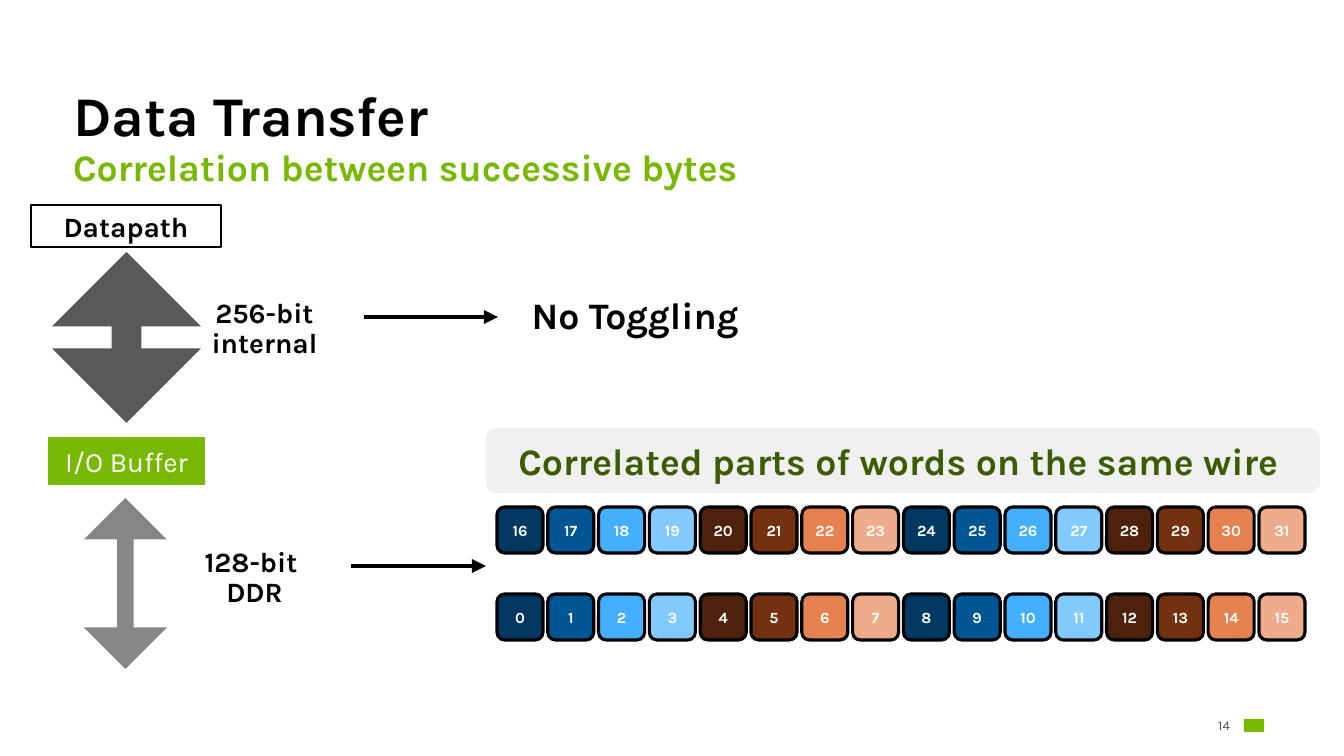
from lxml import etree
from pptx import Presentation
from pptx import util as u
from pptx.dml.color import RGBColor
from pptx.enum import shapes, text
from pptx.oxml import ns

THEME = {
    "font": "Karla",
    "black": "000000", "white": "FFFFFF", "green": "76B900",
    "dark_green": "3B5C00", "panel": "F0F0F0", "page": "505050",
    "dark_arrow": "595959", "light_arrow": "868686",
    "bytes": ["003862", "005594", "43AFFF", "82CAFF",
              "4D210B", "733110", "E68250", "EEAC8A"],
    "title": 36, "head": 24, "body": 18, "byte": 10, "small": 8.5,
}
SIZE = (1344, 756)
TITLE = ("Data Transfer", (62, 81, 1222, 73))
LABELS = [
    (["Correlation between successive bytes"], (62, 144, 1222, 64), "head", "green", "left", "top"),
    (["256-bit internal"], (178, 293, 173, 73), "body", "black", "center", "middle"),
    (["128-bit ", "DDR"], (168, 542, 173, 73), "body", "black", "center", "middle"),
    (["No Toggling"], (497, 291, 276, 52), "head", "black", "center", "middle"),
]
PAGE = ("14", (1190, 715, 40, 20))
BOXES = [
    ("Datapath", "RECTANGLE", (31, 205, 190, 42), None, "black", "body", "black", True),
    ("I/O Buffer", "RECTANGLE", (48, 437, 157, 48), "green", None, "body", "white", False),
    ("Correlated parts of words on the same wire ", "ROUNDED_RECTANGLE",
     (486, 428, 834, 65), "panel", None, "head", "dark_green", True),
]
BUSES = [((52, 252, 149, 171), "dark_arrow"), ((84, 498, 83, 171), "light_arrow")]
BUS_ADJUST = (0.59, 0.2)
POINTERS = [(364, 317, 498), (351, 566, 486)]
BYTE_ROWS = [(0, 594), (16, 507)]
BYTES_PER_ROW = 16
BYTE_LEFT, BYTE_LAST, BYTE_SIDE = 497, 1259, 46
MARK = (1244, 719, 20, 13)

ALIGN = {"left": text.PP_ALIGN.LEFT, "center": text.PP_ALIGN.CENTER, "right": text.PP_ALIGN.RIGHT}
ANCHOR = {"top": text.MSO_ANCHOR.TOP, "middle": text.MSO_ANCHOR.MIDDLE, "bottom": text.MSO_ANCHOR.BOTTOM}


def px(n):
    return u.Emu(round(n * 914400 / 112))


def rgb(name):
    return RGBColor.from_string(THEME.get(name, name))


def write(sp, lines, size, color, align="center", anchor="middle", bold=True, spacing=None):
    tf = sp.text_frame
    tf.word_wrap = True
    tf.auto_size = text.MSO_AUTO_SIZE.NONE
    tf.vertical_anchor = ANCHOR[anchor]
    for i, line in enumerate(lines):
        p = tf.add_paragraph() if i else tf.paragraphs[0]
        p.alignment = ALIGN[align]
        if spacing:
            p.line_spacing = spacing
        r = p.add_run()
        r.text = line
        r.font.name = THEME["font"]
        r.font.size = u.Pt(THEME[size])
        r.font.bold = bold
        r.font.color.rgb = rgb(color)
    return tf


def add_shape(s, kind, box, fill=None, line=None, width=1.5):
    sp = s.shapes.add_shape(getattr(shapes.MSO_SHAPE, kind), *map(px, box))
    sp.shadow.inherit = False
    if fill:
        sp.fill.solid()
        sp.fill.fore_color.rgb = rgb(fill)
    else:
        sp.fill.background()
    if line:
        sp.line.color.rgb = rgb(line)
        sp.line.width = u.Pt(width)
    else:
        sp.line.fill.background()
    return sp


def add_pointer(s, left, y, right):
    c = s.shapes.add_connector(shapes.MSO_CONNECTOR.STRAIGHT, px(left), px(y), px(right), px(y))
    c.line.color.rgb = rgb("black")
    c.line.width = u.Pt(3)
    etree.SubElement(c.line._get_or_add_ln(), ns.qn("a:tailEnd"), type="triangle")
    etree.SubElement(c._element.spPr, ns.qn("a:effectLst"))


def add_bytes(s, first, top):
    pitch = (BYTE_LAST - BYTE_LEFT) / (BYTES_PER_ROW - 1)
    colors = THEME["bytes"]
    for i in range(BYTES_PER_ROW):
        box = (BYTE_LEFT + i * pitch, top, BYTE_SIDE, BYTE_SIDE)
        sp = add_shape(s, "ROUNDED_RECTANGLE", box, colors[i % len(colors)], "black", 2)
        write(sp, [str(first + i)], "byte", "white")


def main():
    prs = Presentation()
    prs.slide_width, prs.slide_height = map(px, SIZE)
    s = prs.slides.add_slide(prs.slide_layouts[5])

    title, box = TITLE
    sp = s.shapes.title
    sp.left, sp.top, sp.width, sp.height = map(px, box)
    write(sp, [title], "title", "black", "left", "bottom", spacing=0.9)

    for lines, box, size, color, align, anchor in LABELS:
        sp = s.shapes.add_textbox(*map(px, box))
        write(sp, lines, size, color, align, anchor, spacing=0.9)

    number, box = PAGE
    sp = s.shapes.add_textbox(*map(px, box))
    tf = write(sp, [number], "small", "page", "right", bold=False)
    tf.margin_left = tf.margin_right = tf.margin_top = tf.margin_bottom = 0

    for first, top in BYTE_ROWS:
        add_bytes(s, first, top)

    for box, fill in BUSES:
        sp = add_shape(s, "UP_DOWN_ARROW", box, fill)
        for i, value in enumerate(BUS_ADJUST):
            sp.adjustments[i] = value

    for label, kind, box, fill, line, size, color, bold in BOXES:
        sp = add_shape(s, kind, box, fill, line)
        write(sp, [label], size, color, bold=bold)

    for pointer in POINTERS:
        add_pointer(s, *pointer)

    add_shape(s, "RECTANGLE", MARK, "green")
    prs.save("out.pptx")


if __name__ == "__main__":
    main()
